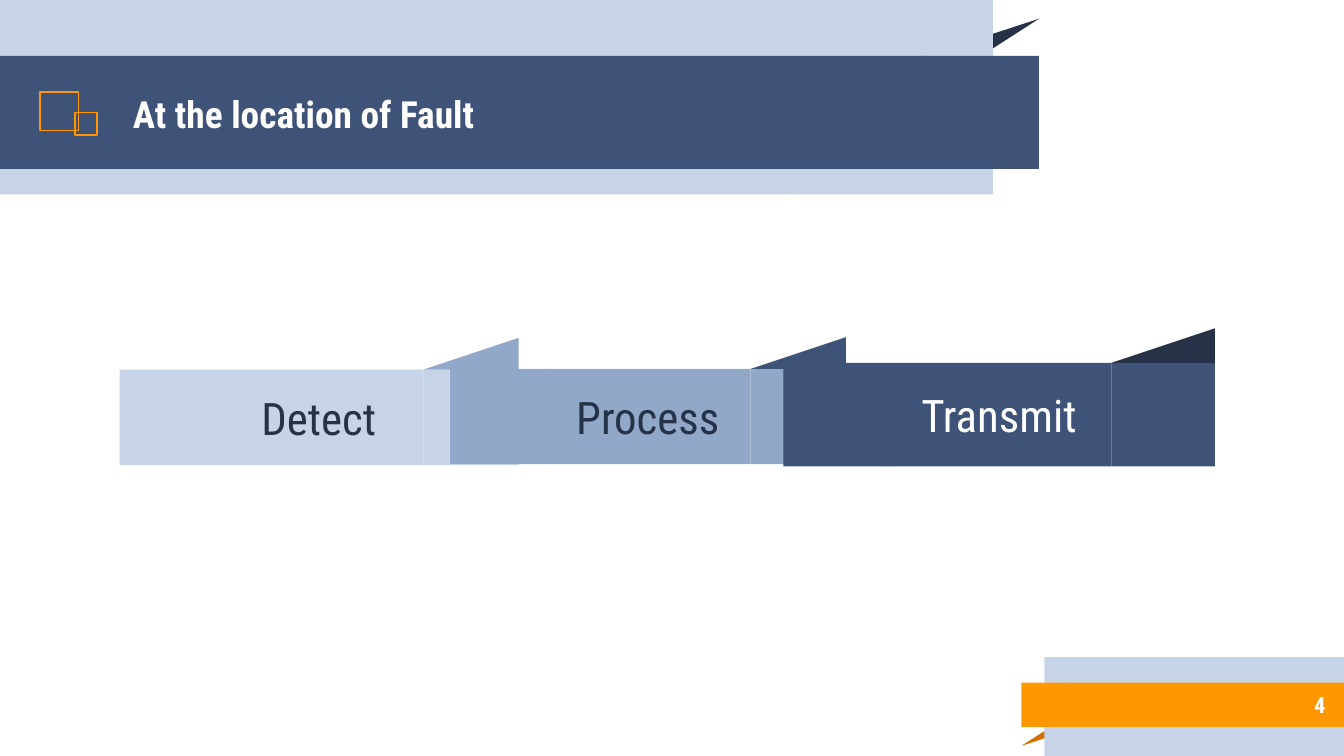
from dataclasses import dataclass

from pptx import Presentation
from pptx.dml.color import RGBColor
from pptx.enum.shapes import MSO_SHAPE
from pptx.enum.text import MSO_ANCHOR, PP_ALIGN
from pptx.util import Inches, Pt

RECT = MSO_SHAPE.RECTANGLE
MIDDLE = MSO_ANCHOR.MIDDLE
LEFT, CENTER, RIGHT = PP_ALIGN.LEFT, PP_ALIGN.CENTER, PP_ALIGN.RIGHT
COLS, ROWS = 100, 56.25  # square grid cells, a tenth of an inch each
OVERLAP = 0.05  # hides the seam between neighbouring pieces


@dataclass(frozen=True)
class Theme:
    font: str = "Roboto Condensed"
    ink: str = "263248"
    navy: str = "3F5378"
    steel: str = "92A8C8"
    pale: str = "C7D3E6"
    orange: str = "FF9800"
    rust: str = "D26F00"
    white: str = "FFFFFF"
    title: int = 20
    step: int = 24
    number: int = 12
    outline: float = 0.96


THEME = Theme()


def cells(n):
    return Inches(n / 10)


def paint(shape, fill):
    shape.shadow.inherit = False
    shape.fill.solid()
    shape.fill.fore_color.rgb = RGBColor.from_string(fill)
    shape.line.fill.background()


def add_rect(s, x, y, w, h, fill):
    sp = s.shapes.add_shape(RECT, *map(cells, (x, y, w, h)))
    paint(sp, fill)
    return sp


def add_band(s, x, y, w, h, fill, square_left=False):
    """Ribbon made of a long body and a square at one end."""
    body, square = (x + h - OVERLAP, x) if square_left else (x, x + w - h)
    add_rect(s, body, y, w - h + OVERLAP, h, fill)
    add_rect(s, square, y, h, h, fill)


def add_triangle(s, points, fill):
    start, *rest = [(cells(x), cells(y)) for x, y in points]
    builder = s.shapes.build_freeform(*start)
    builder.add_line_segments(rest, close=True)
    paint(builder.convert_to_shape(), fill)


def add_outline(s, x, y, w, h):
    sp = add_rect(s, x, y, w, h, THEME.white)
    sp.fill.background()
    sp.line.color.rgb = RGBColor.from_string(THEME.orange)
    sp.line.width = Pt(THEME.outline)


def write(sp, text, size, color, align, bold=False):
    tf = sp.text_frame
    tf.word_wrap = True
    tf.vertical_anchor = MIDDLE
    tf.margin_left = tf.margin_right = tf.margin_top = tf.margin_bottom = cells(1)
    p = tf.paragraphs[0]
    p.text = text
    p.alignment = align
    p.font.name = THEME.font
    p.font.size = Pt(size)
    p.font.bold = bold
    p.font.color.rgb = RGBColor.from_string(color)


def add_label(s, x, y, w, h, *style):
    write(s.shapes.add_textbox(*map(cells, (x, y, w, h))), *style)


def add_header(s, x, y, w, h, title):
    """Title ribbon in front of a shorter pale panel, with a fold behind."""
    top, band = y + 4.17, 8.4
    right = x + w
    add_triangle(s, [(right - 8.5, top), (right, y + 1.4), (right - 4.3, top)],
                 THEME.ink)
    add_band(s, x, y, w - 3.42, h, THEME.pale)
    add_band(s, x, top, w, band, THEME.navy)
    add_label(s, x + 8.9, top + 0.1, 57.5, band,
              title, THEME.title, THEME.white, LEFT, True)
    add_outline(s, x + 3, top + 2.7, 2.85, 2.85)
    add_outline(s, x + 5.6, top + 4.2, 1.65, 1.65)


def add_footer(s, x, y, w, h, number):
    """Page-number ribbon in front of a pale panel, with a fold behind."""
    top, band, inset = y + 1.9, 3.3, 1.7
    bottom = top + band
    add_triangle(s, [(x + 4.3, bottom), (x, bottom + 1.4), (x + 2.2, bottom)],
                 THEME.rust)
    add_band(s, x + inset, y, w - inset, h, THEME.pale, True)
    add_band(s, x, top, w, band, THEME.orange, True)
    add_label(s, x + 7.3, top - 0.1, 16.3, band + 0.2,
              number, THEME.number, THEME.white, RIGHT, True)


def add_step(s, x, y, w, h, text, fill, fold, color):
    """Ribbon with a square at each end and a fold above the right one."""
    body, end = x + h - OVERLAP, x + w - h
    write(add_rect(s, body, y, end - body, h, fill),
          text, THEME.step, color, CENTER)
    add_rect(s, x, y, h, h, fill)
    add_rect(s, end, y, h, h, fill)
    peak = y - h / 3
    add_triangle(s, [(end, y), (x + w, peak), (x + w, y)], fold)


def main():
    prs = Presentation()
    prs.slide_width, prs.slide_height = cells(COLS), cells(ROWS)
    s = prs.slides.add_slide(prs.slide_layouts[6])
    add_header(s, 0, 0, 77.3, 14.47, "At the location of Fault")
    add_footer(s, 76, 48.9, COLS - 76, ROWS - 48.9, "4")
    steps = [
        ((8.9, 27.5, 29.7, 7.1), "Detect", THEME.pale, THEME.steel, THEME.ink),
        ((33.5, 27.45, 29.45, 7.1), "Process", THEME.steel, THEME.navy, THEME.ink),
        ((58.3, 27, 32.1, 7.7), "Transmit", THEME.navy, THEME.ink, THEME.white),
    ]
    for box, *style in steps:
        add_step(s, *box, *style)
    prs.save("out.pptx")


if __name__ == "__main__":
    main()
